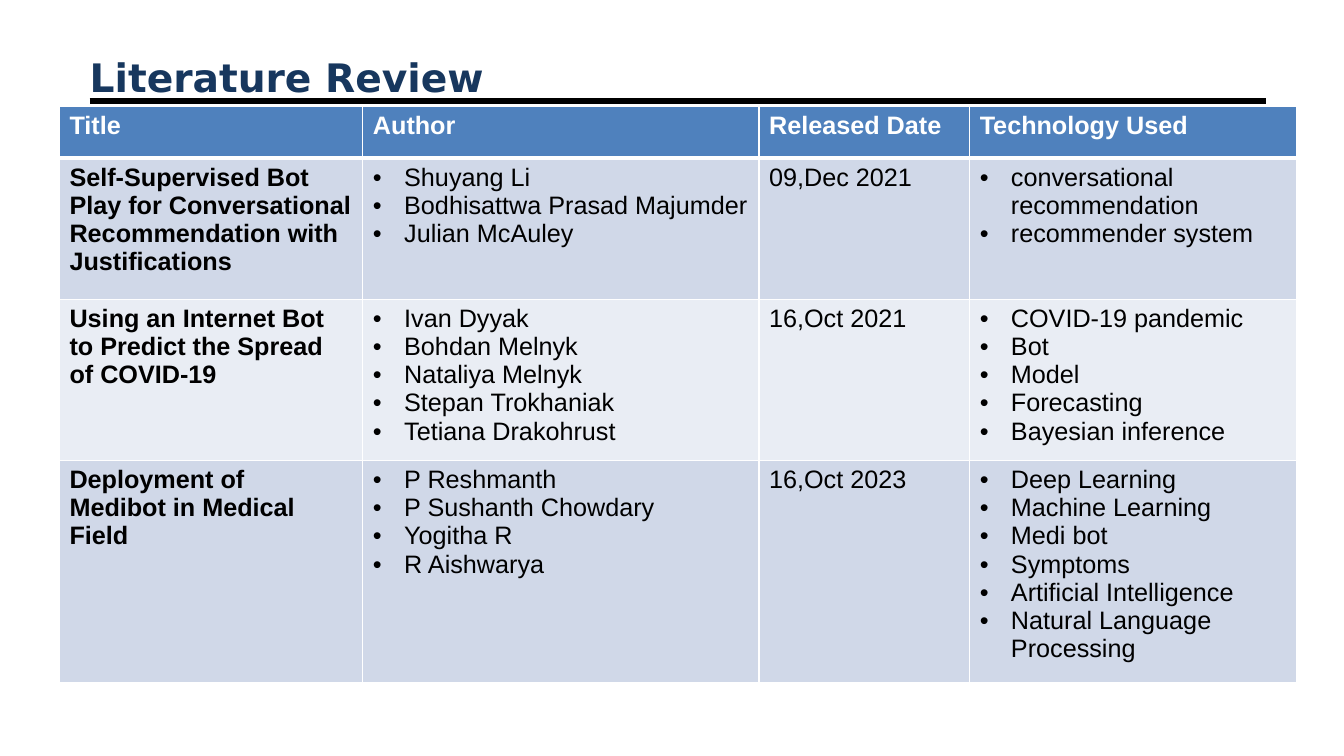
from dataclasses import dataclass

from lxml.etree import SubElement
from pptx import Presentation
from pptx.dml.color import RGBColor
from pptx.enum.shapes import MSO_CONNECTOR
from pptx.enum.text import MSO_ANCHOR
from pptx.oxml.ns import qn
from pptx.util import Emu, Inches, Pt

CELL = 0.1  # inches in one grid step
INDENT = 3.1
COLS = (30.1, 39.3, 20.9, 32.4)
ROWS = (5.1, 14, 14, 14)
HEADS = ("Title", "Author", "Released Date", "Technology Used")
HUES = {
    "title": "17375E", "rule": "000000", "text": "000000", "head": "4F81BD",
    "odd": "D0D8E8", "even": "E9EDF4", "white": "FFFFFF",
}


@dataclass
class Paper:
    """One reviewed paper, a row of the table."""
    title: str
    authors: tuple[str, ...]
    date: str
    topics: tuple[str, ...]


PAPERS = (
    Paper("Self-Supervised Bot Play for Conversational Recommendation with Justifications",
          ("Shuyang Li", "Bodhisattwa Prasad Majumder", "Julian McAuley"),
          "09,Dec 2021",
          ("conversational recommendation", "recommender system")),
    Paper("Using an Internet Bot to Predict the Spread of COVID-19\u00a0",
          ("Ivan Dyyak", "Bohdan Melnyk", "Nataliya Melnyk", "Stepan Trokhaniak",
           "Tetiana Drakohrust\u00a0"),
          "16,Oct 2021",
          ("COVID-19 pandemic", "Bot", "Model", "Forecasting", "Bayesian inference")),
    Paper("Deployment of Medibot\u00a0in Medical Field",
          ("P Reshmanth", "P Sushanth Chowdary", "Yogitha R", "R Aishwarya"),
          "16,Oct 2023",
          ("Deep Learning", "Machine Learning", "Medi bot", "Symptoms",
           "Artificial Intelligence", "Natural Language Processing")),
)


def grid(steps: float) -> Emu:
    """Turn grid steps into a length."""
    return Inches(steps * CELL)


def hue(name: str) -> RGBColor:
    """Look up a colour by its role."""
    return RGBColor.from_string(HUES[name])


def style(para, face: str, size: float, tint: str, bold: bool) -> None:
    """Format every run of a paragraph."""
    for run in para.runs:
        font = run.font
        font.name, font.size, font.bold = face, Pt(size), bold
        font.color.rgb = hue(tint)


def bullet(para) -> None:
    """Give a paragraph a hanging bullet."""
    props = para._p.get_or_add_pPr()
    props.set("marL", str(grid(INDENT)))
    props.set("indent", str(-grid(INDENT)))
    SubElement(props, qn("a:buFont"), typeface="Arial")
    SubElement(props, qn("a:buChar"), char="•")


def edge(cell, top: float, base: float) -> None:
    """Draw white borders, with the given top and bottom widths."""
    props = cell._tc.get_or_add_tcPr()
    for side, width in (("L", 1), ("R", 1), ("T", top), ("B", base)):
        line = SubElement(props, qn(f"a:ln{side}"), w=str(Pt(width)))
        fill = SubElement(line, qn("a:solidFill"))
        SubElement(fill, qn("a:srgbClr"), val=HUES["white"])


def write(cell, lines: tuple[str, ...], tint: str, bold: bool, listed: bool) -> None:
    """Fill a cell with lines of text."""
    cell.text_frame.text = "\n".join(lines)
    for para in cell.text_frame.paragraphs:
        style(para, "Arial", 18, tint, bold)
        if listed:
            bullet(para)


def paint(cell, shade: str) -> None:
    """Colour the ground of a cell."""
    cell.fill.solid()
    cell.fill.fore_color.rgb = hue(shade)


def heading(slide) -> None:
    """Add the slide title and the rule below it."""
    rule = slide.shapes.add_connector(
        MSO_CONNECTOR.STRAIGHT, grid(8.9), grid(10), grid(125.6), grid(10))
    rule.line.color.rgb = hue("rule")
    rule.line.width = Pt(4.5)
    SubElement(rule._element.spPr, qn("a:effectLst"))
    box = slide.shapes.add_textbox(grid(8.9), grid(4.9), grid(116.5), grid(6))
    frame = box.text_frame
    frame.word_wrap = True
    frame.vertical_anchor = MSO_ANCHOR.MIDDLE
    frame.margin_left = frame.margin_right = frame.margin_top = frame.margin_bottom = 0
    frame.text = "Literature Review"
    para = frame.paragraphs[0]
    para.line_spacing = 0.9
    style(para, "DejaVu Sans", 28, "title", True)


def review(slide) -> None:
    """Add the table of papers."""
    table = slide.shapes.add_table(
        len(ROWS), len(COLS), grid(5.9), grid(10.6), grid(sum(COLS)), grid(sum(ROWS))).table
    for col, width in zip(table.columns, COLS):
        col.width = grid(width)
    for row, height in zip(table.rows, ROWS):
        row.height = grid(height)
    for c, name in enumerate(HEADS):
        cell = table.cell(0, c)
        write(cell, (name,), "white", True, False)
        edge(cell, 1, 3)
        paint(cell, "head")
    for r, paper in enumerate(PAPERS, 1):
        parts = ((paper.title,), paper.authors, (paper.date,), paper.topics)
        for c, lines in enumerate(parts):
            cell = table.cell(r, c)
            write(cell, lines, "text", c == 0, c in (1, 3))
            edge(cell, 3 if r == 1 else 1, 1)
            paint(cell, "odd" if r % 2 else "even")


def main() -> None:
    """Build and save the slide."""
    deck = Presentation()
    deck.slide_width, deck.slide_height = grid(133.33), grid(75)
    slide = deck.slides.add_slide(deck.slide_layouts[6])
    heading(slide)
    review(slide)
    deck.save("out.pptx")


main()
